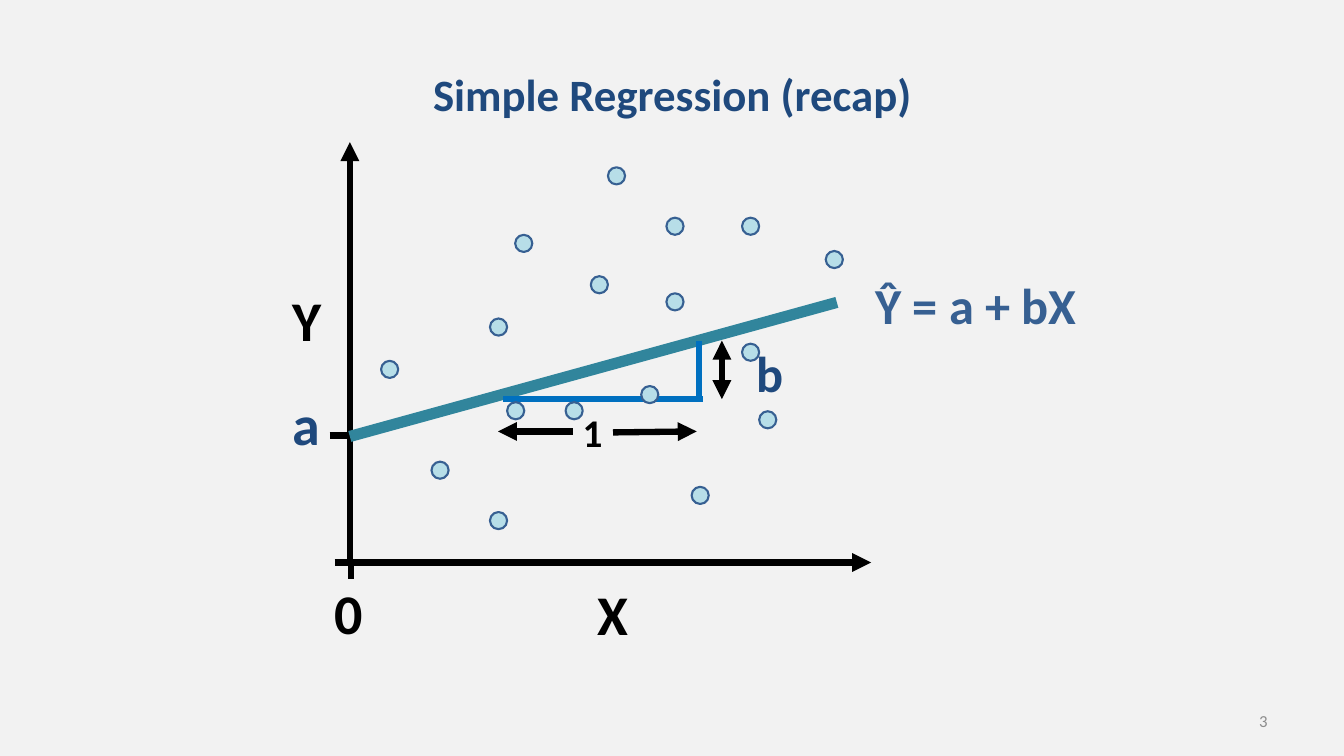
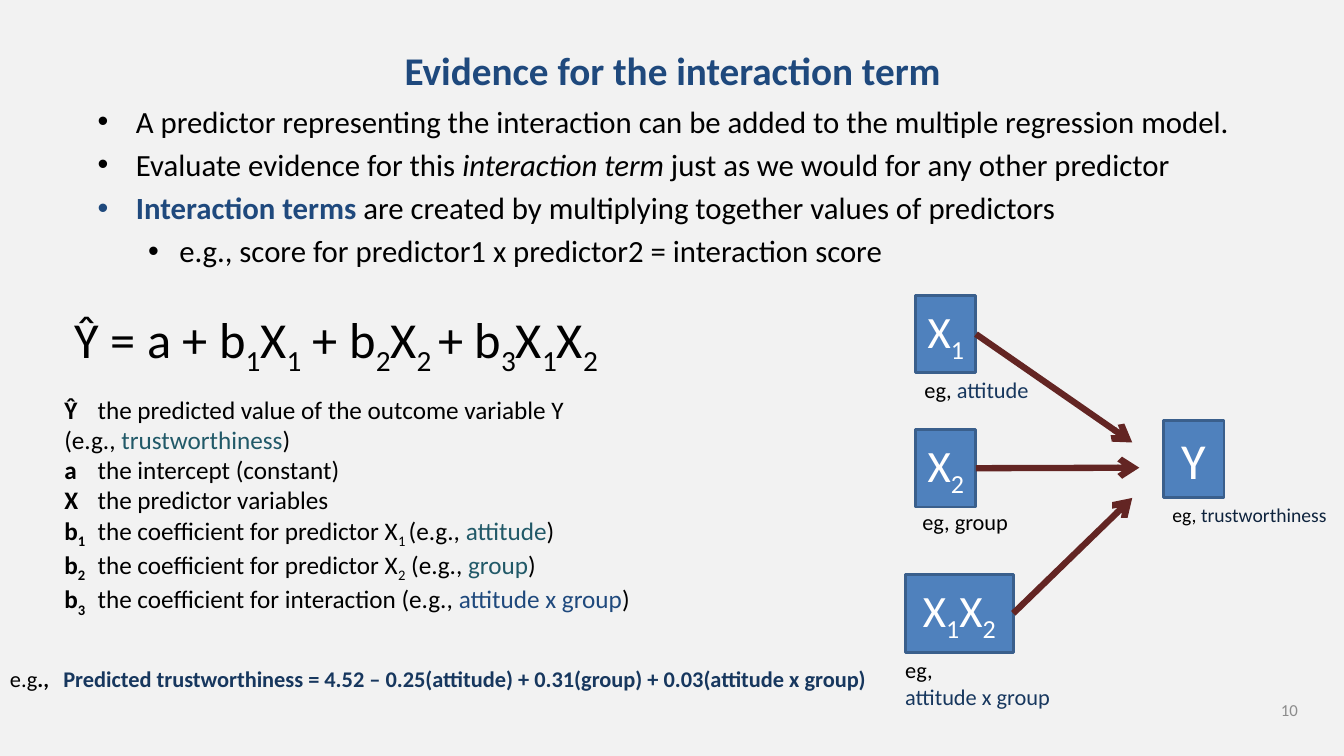
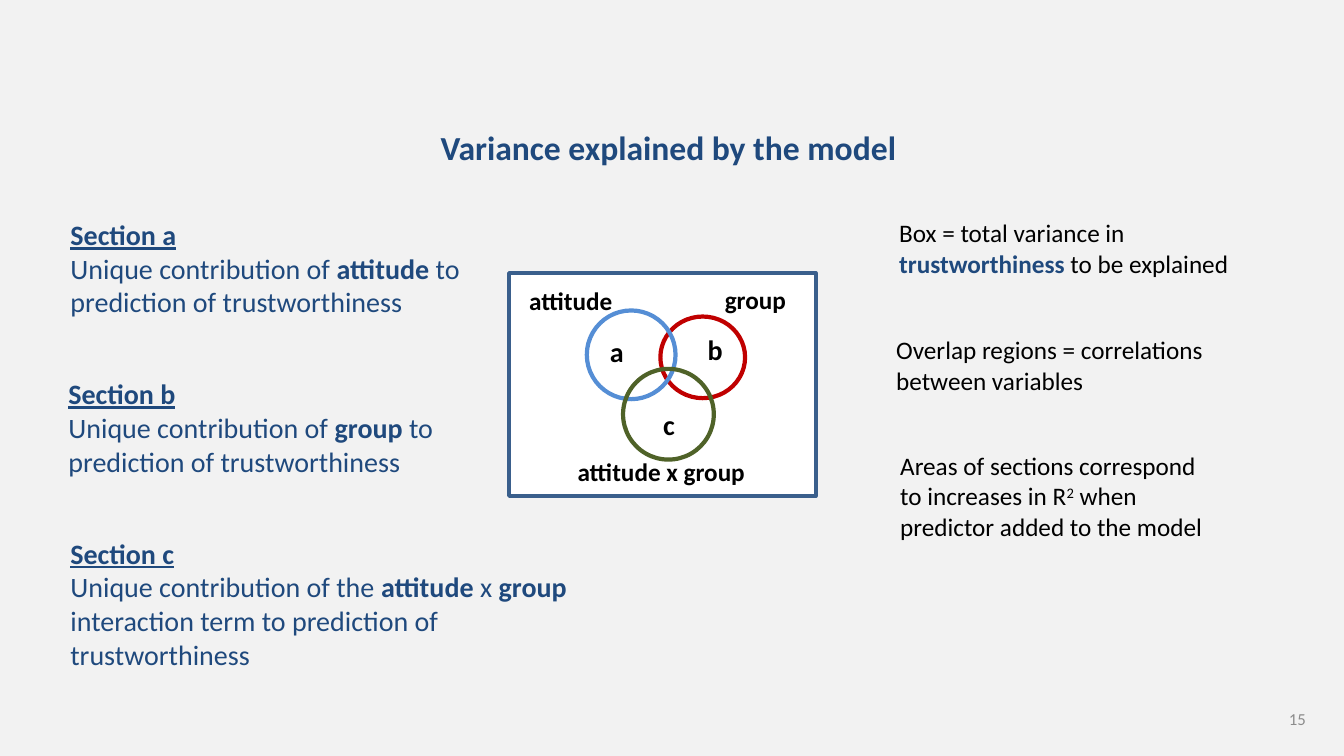
"""Build three slides on simple regression, interaction terms and explained variance."""
from lxml import etree
from pptx import Presentation
from pptx.dml.color import RGBColor
from pptx.enum.shapes import MSO_CONNECTOR, MSO_SHAPE
from pptx.enum.text import MSO_ANCHOR, PP_ALIGN
from pptx.oxml.ns import qn
from pptx.util import Pt

PX = 9144
RECT, OVAL = MSO_SHAPE.RECTANGLE, MSO_SHAPE.OVAL
STRAIGHT = MSO_CONNECTOR.STRAIGHT
LEFT, CENTER, RIGHT = PP_ALIGN.LEFT, PP_ALIGN.CENTER, PP_ALIGN.RIGHT
TOP, MIDDLE = MSO_ANCHOR.TOP, MSO_ANCHOR.MIDDLE
FONT = "Calibri"
PAPER, BLACK, WHITE, GREY = "F2F2F2", "000000", "FFFFFF", "8C8C8C"
NAVY, DEEP, STEEL, EDGE = "1F497D", "17375E", "376092", "3A5F8C"
TEAL, DARK_TEAL, BLUE, MAROON = "31859C", "215968", "0070C0", "632523"
BOLD = dict(bold=True)
rgb = RGBColor.from_string


def box(shapes, rect, text="", kind=None, fill=None, edge=None, width=2, align=LEFT,
        anchor=TOP, wrap=True, tab=None, **fmt):
    """Add a text box or preset shape; ~ marks subscripts, tuples hold run formats."""
    rect = [v * PX for v in rect]
    if kind is None:
        sp = shapes.add_textbox(*rect)
    else:
        sp = shapes.add_shape(kind, *rect)
        sp.shadow.inherit = False
        sp.line.color.rgb = rgb(edge)
        sp.line.width = Pt(width)
        if fill:
            sp.fill.solid()
            sp.fill.fore_color.rgb = rgb(fill)
        else:
            sp.fill.background()
    if not text:
        return sp
    tf = sp.text_frame
    tf.word_wrap = wrap
    tf.vertical_anchor = anchor
    for i, runs in enumerate([[text]] if isinstance(text, str) else text):
        p = tf.paragraphs[0] if i == 0 else tf.add_paragraph()
        p.alignment = align
        if tab:
            tabs = etree.SubElement(p._p.get_or_add_pPr(), qn("a:tabLst"))
            etree.SubElement(tabs, qn("a:tab"), pos=str(tab * PX), algn="l")
        for run in runs:
            words, own = (run, {}) if isinstance(run, str) else run
            f = {"size": 18, "color": BLACK, **fmt, **own}
            for j, piece in enumerate(words.split("~")):
                if not piece:
                    continue
                r = p.add_run()
                r.text = piece
                r.font.name = FONT
                r.font.size = Pt(f["size"])
                r.font.color.rgb = rgb(f["color"])
                r.font.bold = f.get("bold", False)
                r.font.italic = f.get("italic", False)
                r.font.underline = f.get("underline", False)
                base = -25000 if j % 2 else f.get("base", 0)
                if base:
                    r.font._element.set("baseline", str(base))
    return sp


def line(s, ends, color=BLACK, width=4.5, head=None, tail=None):
    """Add a straight connector with optional arrowheads."""
    c = s.shapes.add_connector(STRAIGHT, *[v * PX for v in ends])
    c.line.color.rgb = rgb(color)
    c.line.width = Pt(width)
    ln = c.line._get_or_add_ln()
    for tag, end in (("a:headEnd", head), ("a:tailEnd", tail)):
        if end:
            etree.SubElement(ln, qn(tag), type=end)
    etree.SubElement(c._element.spPr, qn("a:effectLst"))
    return c


prs = Presentation()
prs.slide_width, prs.slide_height = 1333 * PX, 750 * PX
slides = []
for title, size, title_rect, number, number_rect in (
    ("Simple Regression (recap)", 32, (67, 30, 1200, 125), "3", (956, 695, 311, 40)),
    ("Evidence for the interaction term", 28, (67, 30, 1200, 79), "10", (986, 684, 311, 40)),
    ("Variance explained by the model", 24, (213, 116, 900, 60), "15", (1250, 693, 55, 40)),
):
    s = prs.slides.add_slide(prs.slide_layouts[6])
    s.background.fill.solid()
    s.background.fill.fore_color.rgb = rgb(PAPER)
    box(s.shapes, title_rect, title, align=CENTER, anchor=MIDDLE, size=size, color=NAVY, bold=True)
    box(s.shapes, number_rect, number, align=RIGHT, anchor=MIDDLE, size=12, color=GREY)
    slides.append(s)
regression, interaction, variance = slides

s = regression
line(s, (344, 558, 864, 558), tail="triangle")
line(s, (347, 558, 347, 141), tail="triangle")
for tick in ((348, 574, 348, 558), (332, 558, 349, 558), (327, 432, 344, 432)):
    line(s, tick)
line(s, (347, 433, 830, 300), TEAL, 8)
line(s, (499, 396, 697, 396), BLUE)
line(s, (693, 396, 693, 338), BLUE)
line(s, (608, 429, 691, 428), tail="triangle")
line(s, (568, 428, 494, 428), tail="triangle")
line(s, (716, 396, 716, 338), head="triangle", tail="triangle")
for label, rect, size, color in (
    ("X", (583, 570, 51, 77), 40, BLACK),
    ("Y", (280, 278, 49, 77), 40, BLACK),
    ("0", (322, 569, 49, 77), 40, BLACK),
    ("1", (568, 400, 40, 57), 28, BLACK),
    ("b", (741, 334, 47, 71), 36, NAVY),
    ("a", (280, 382, 49, 77), 40, NAVY),
    ("Ŷ = a + bX", (858, 267, 222, 71), 36, STEEL),
):
    box(s.shapes, rect, label, wrap=False, size=size, color=color, bold=True)
dots = s.shapes.add_group_shape()
for x, y in (
    (511, 233), (561, 399), (486, 508), (428, 458), (636, 383), (686, 483),
    (753, 408), (603, 166), (661, 216), (378, 358), (736, 216), (819, 249),
    (586, 274), (736, 341), (661, 291), (486, 316), (503, 399),
):
    box(dots.shapes, (x, y, 17, 17), kind=OVAL, fill="B7DEE8", edge=STEEL, width=1.5)

s = interaction
body = box(s.shapes, (87, 97, 1159, 180), [
    ["A predictor representing the interaction can be added to the multiple regression model."],
    ["Evaluate evidence for this ", ("interaction term ", dict(italic=True)),
     "just as we would for any other predictor"],
    [("Interaction terms ", dict(color=NAVY, bold=True)),
     "are created by multiplying together values of predictors"],
    ["e.g., score for predictor1 x predictor2 = interaction score"],
], size=22)
for p, (margin, hang) in zip(body.text_frame.paragraphs, [(38, 38)] * 3 + [(81, 31)]):
    p.space_before = Pt(4.4)
    pPr = p._p.get_or_add_pPr()
    pPr.set("marL", str(margin * PX))
    pPr.set("indent", str(-hang * PX))
    etree.SubElement(pPr, qn("a:buFont"), typeface="Arial")
    etree.SubElement(pPr, qn("a:buChar"), char="•")

for label, rect, size, tip in (
    ("X~1~", (908, 293, 60, 77), 32, (1123, 439)),
    ("X~2~", (908, 426, 60, 77), 32, (1130, 464)),
    ("X~1~X~2~", (898, 570, 107, 77), 32, (1123, 494)),
    ("Y", (1154, 417, 60, 77), 36, None),
):
    node = box(s.shapes, rect, label, kind=RECT, fill="4F81BD", edge=EDGE, align=CENTER,
               anchor=MIDDLE, size=size, color=WHITE)
    if tip:
        x, y, w, h = rect
        line(s, (x + w, y + h // 2, *tip), MAROON, tail="arrow").begin_connect(node, 3)

for rect, size, text in (
    ((907, 368, 152, 37), 16, [["eg, ", ("attitude", dict(color=DEEP))]]),
    ((905, 499, 137, 37), 16, "eg, group"),
    ((1153, 494, 197, 34), 14, [["eg, ", ("trustworthiness", dict(color="0F243E"))]]),
    ((888, 646, 200, 64), 16, [["eg, "], [("attitude x group", dict(color=DEEP))]]),
):
    box(s.shapes, rect, text, size=size)

box(s.shapes, (15, 301, 637, 116), "Ŷ = a + b~1~X~1~ + b~2~X~2 ~+ b~3~X~1~X~2~",
    align=CENTER, size=36)
example = dict(color=DARK_TEAL)
box(s.shapes, (54, 386, 723, 222), [
    [("Ŷ", BOLD), "\tthe predicted value of the outcome variable Y"],
    ["(e.g., ", ("trustworthiness", example), ")"],
    [("a", BOLD), "\tthe intercept (constant)"],
    [("X", BOLD), "\tthe predictor variables"],
    [("b~1~", BOLD), "\tthe coefficient for predictor X~1 ~(e.g., ", ("attitude", example), ")"],
    [("b~2~", BOLD), "\tthe coefficient for predictor X~2~ (e.g., ", ("group", example), ")"],
    [("b~3~", BOLD), "\tthe coefficient for interaction (e.g., ",
     ("attitude x group", dict(color=NAVY)), ")"],
], tab=33)
box(s.shapes, (0, 655, 1081, 37), [[
    "e.g", (".,\t", BOLD),
    ("Predicted trustworthiness = 4.52 – 0.25(attitude) + 0.31(group) + 0.03(attitude x group)",
     dict(color=DEEP, bold=True)),
]], tab=53, size=16)

s = variance
box(s.shapes, (505, 271, 304, 221), kind=RECT, fill=WHITE, edge=EDGE, width=3)
for rect, fill, edge in (
    ((655, 314, 84, 81), WHITE, "C00000"),
    ((582, 308, 88, 88), None, "558ED5"),
    ((618, 366, 90, 90), None, "4F6228"),
):
    box(s.shapes, rect, kind=OVAL, fill=fill, edge=edge, width=3)
for label, rect, size in (
    ("a", (595, 327, 36, 44), 20),
    ("b", (692, 325, 36, 44), 20),
    ("c", (648, 399, 36, 44), 20),
    ("group", (709, 277, 100, 40), 18),
    ("attitude", (515, 278, 104, 40), 18),
    ("attitude x group", (563, 448, 188, 40), 18),
):
    box(s.shapes, rect, label, wrap=False, size=size, bold=True)
for name, rect, runs in (
    ("a", (60, 211, 461, 111), ["Unique contribution of ", ("attitude", BOLD),
                                " to prediction of trustworthiness"]),
    ("b", (58, 369, 461, 111), ["Unique contribution of ", ("group", BOLD),
                                " to prediction of trustworthiness"]),
    ("c", (60, 527, 527, 145), ["Unique contribution of the ", ("attitude", BOLD), " x ",
                                ("group", BOLD),
                                " interaction term to prediction of trustworthiness"]),
):
    heading = (f"Section {name}", dict(bold=True, underline=True))
    box(s.shapes, rect, [[heading], runs], size=20, color=NAVY)
for rect, runs in (
    ((882, 211, 368, 71), ["Box = total variance in ",
                           ("trustworthiness", dict(color=NAVY, bold=True)),
                           " to be explained"]),
    ((879, 327, 336, 71), ["Overlap regions = correlations between variables"]),
    ((883, 442, 332, 101), ["Areas of sections correspond to increases in R",
                            ("2", dict(base=30000)), " when predictor added to the model"]),
):
    box(s.shapes, rect, [runs])

prs.save("out.pptx")
